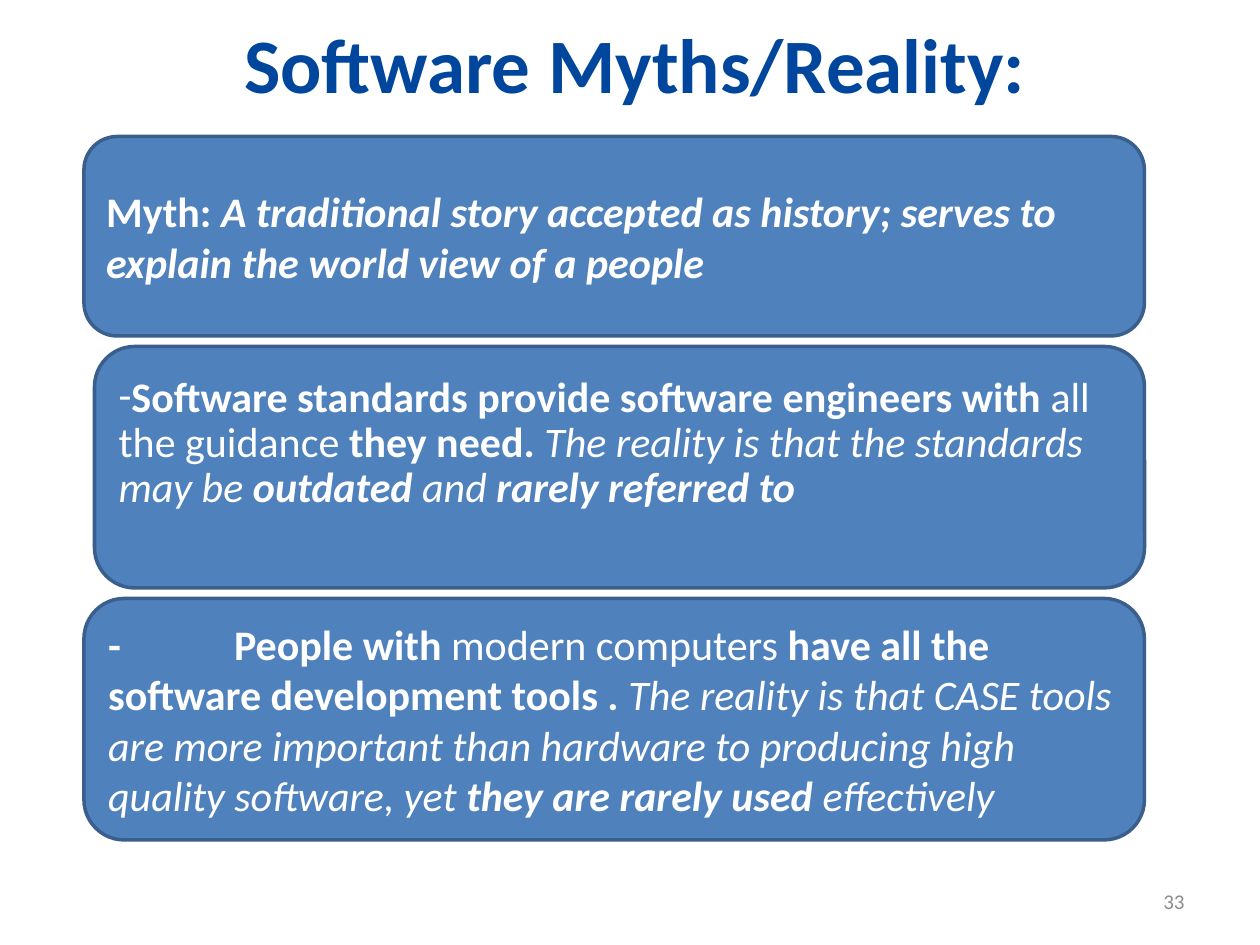
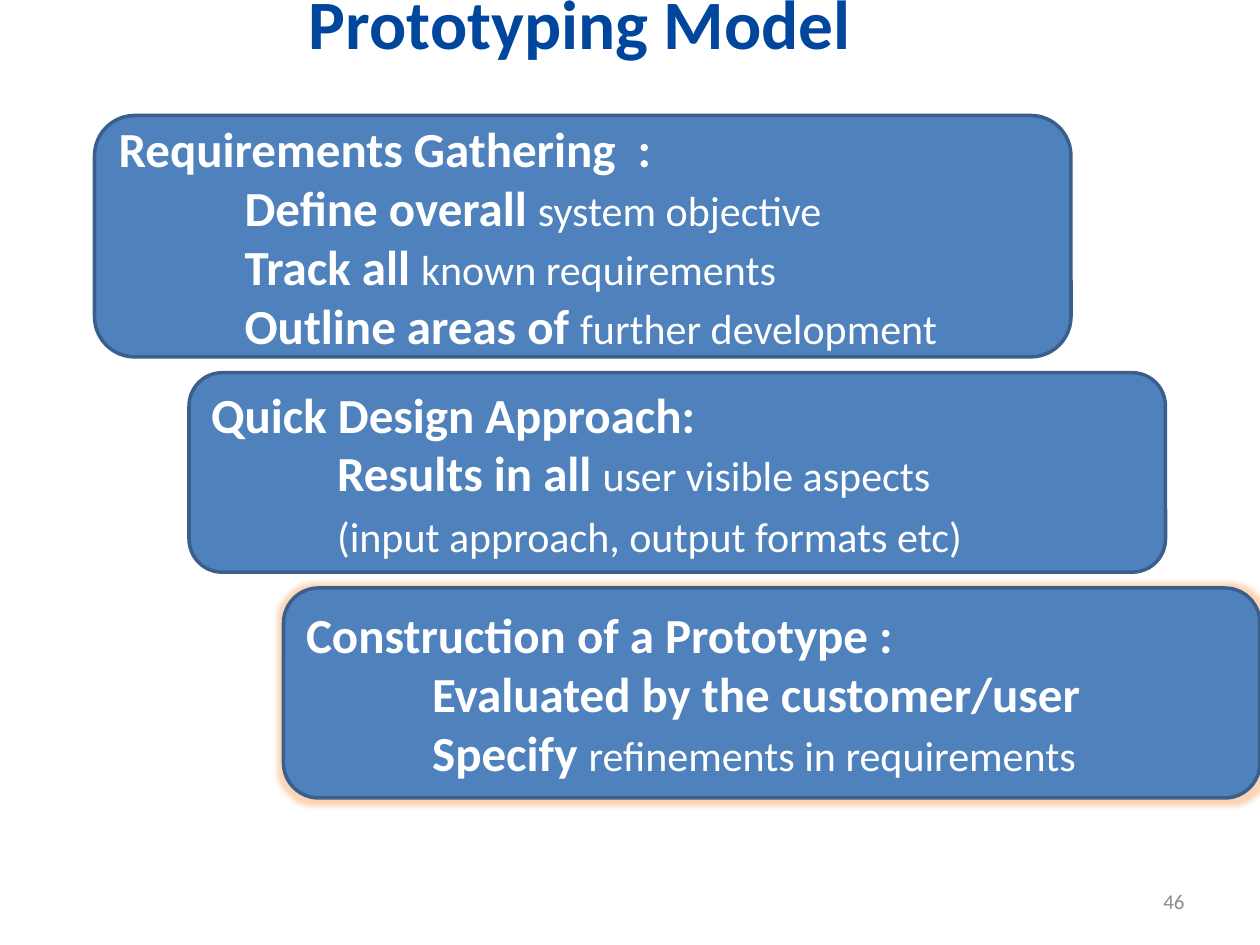
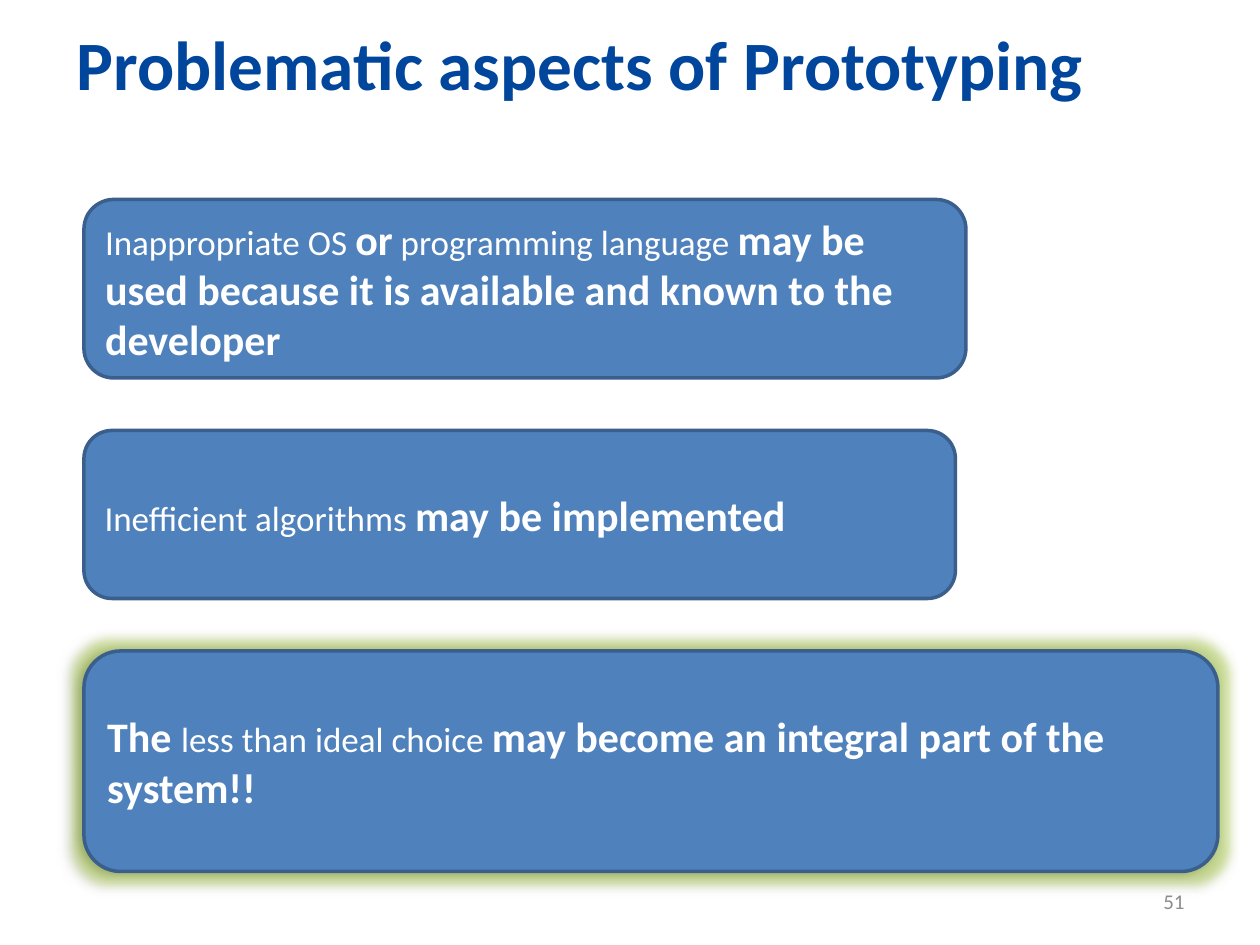
from lxml.etree import SubElement
from pptx import Presentation
from pptx.dml.color import RGBColor
from pptx.enum.shapes import MSO_SHAPE
from pptx.enum.text import MSO_ANCHOR, PP_ALIGN
from pptx.oxml.ns import qn
from pptx.util import Inches, Pt

FONT = "Calibri"
NAVY, BLUE, EDGE = "00469C", "4F81BD", "3A5F8C"
WHITE, GRAY = "FFFFFF", "8C8C8C"
ORANGE, GREEN = "F79646", "A5D028"

deck = Presentation()
deck.slide_width = Inches(10)
deck.slide_height = Inches(7.5)
COL = deck.slide_width / 120
ROW = deck.slide_height / 90


def paint(run, size, hue, bold=False, slant=False):
    font = run.font
    font.name = FONT
    font.size = Pt(size)
    font.bold = bold
    font.italic = slant
    font.color.rgb = RGBColor.from_string(hue)


def label(slide, grid, text, size, hue, bold, align):
    left, top, width, height = grid
    box = slide.shapes.add_textbox(
        round(left * COL), round(top * ROW), round(width * COL), round(height * ROW))
    frame = box.text_frame
    frame.word_wrap = True
    frame.vertical_anchor = MSO_ANCHOR.MIDDLE
    frame.text = text
    line = frame.paragraphs[0]
    line.alignment = align
    paint(line.runs[0], size, hue, bold)
    return frame


SLIDES = [
    {"title": "Software Myths/Reality:", "size": 44, "wide": 111, "lift": 0,
     "page": "33", "bold": 24, "plain": 24,
     "cards": [
         {"grid": (8, 13, 101, 19), "lines": [
             [("Myth: ", "b"),
              ("A traditional story accepted as history; serves to explain "
               "the world\u00a0view of a people", "bi")]]},
         {"grid": (9, 33, 100, 23), "dash": True, "lift": 0.37, "lines": [
             [("Software standards provide software engineers with ", "b"),
              ("all the guidance", ""),
              (" they need. ", "b"),
              ("The reality is that the standards may be ", "i"),
              ("outdated", "bi"),
              (" and ", "i"),
              ("rarely referred to", "bi")]]},
         {"grid": (8, 57, 101, 23), "lines": [
             [("-\tPeople with ", "b"),
              ("modern computers", ""),
              (" have all the software development tools . ", "b"),
              ("The reality is that CASE tools are more important than hardware "
               "to producing high quality software, yet ", "i"),
              ("they are rarely used ", "bi"),
              ("effectively", "i")]]}]},
    {"title": "Prototyping Model ", "size": 39.6, "wide": 102, "lift": 0.65,
     "page": "46", "bold": 28, "plain": 24,
     "cards": [
         {"grid": (9, 11, 93, 23), "lines": [
             [("Requirements Gathering  :", "b")],
             [("Define overall ", "b"), ("system objective", "")],
             [("Track all ", "b"), ("known requirements", "")],
             [("Outline areas of ", "b"), ("further development", "")]]},
         {"grid": (18, 35.5, 93, 19), "lines": [
             [("Quick Design Approach:", "b")],
             [("Results in all ", "b"), ("user visible aspects", "")],
             [("(input approach, output formats etc)", "")]]},
         {"grid": (27, 56, 93, 20), "glow": (ORANGE, 5), "lines": [
             [("Construction of a Prototype :", "b")],
             [("Evaluated by the customer/user", "b")],
             [("Specify ", "b"), ("refinements in requirements", "")]]}]},
    {"title": "Problematic aspects of Prototyping ", "size": 39.6, "wide": 102, "lift": 0,
     "page": "51", "bold": 24, "plain": 20,
     "cards": [
         {"grid": (8, 19, 84, 17), "lines": [
             [("Inappropriate OS ", ""),
              ("or", "b"),
              (" programming language ", ""),
              ("may be used because it is available and known to the developer", "b")]]},
         {"grid": (8, 41, 83, 16), "lines": [
             [("Inefficient algorithms ", ""), ("may be implemented", "b")]]},
         {"grid": (8, 62, 108, 21), "glow": (GREEN, 11), "shade": True, "lines": [
             [("The ", "b"),
              ("less than ideal choice ", ""),
              ("may become an integral part of the system!!", "b")]]}]},
]

for page in SLIDES:
    slide = deck.slides.add_slide(deck.slide_layouts[6])
    head = label(slide, (5, 0, page["wide"], 12), page["title"],
                 page["size"], NAVY, True, PP_ALIGN.CENTER)
    head.margin_bottom = Inches(0.05 + page["lift"])

    for card in page["cards"]:
        left, top, width, height = card["grid"]
        shape = slide.shapes.add_shape(
            MSO_SHAPE.ROUNDED_RECTANGLE,
            round(left * COL), round(top * ROW), round(width * COL), round(height * ROW))
        shape.shadow.inherit = False
        shape.fill.solid()
        shape.fill.fore_color.rgb = RGBColor.from_string(BLUE)
        shape.line.color.rgb = RGBColor.from_string(EDGE)
        shape.line.width = Pt(2)

        if "glow" in card:
            hue, size = card["glow"]
            fx = shape._element.spPr.find(qn("a:effectLst"))
            glow = SubElement(fx, qn("a:glow"), rad=str(Pt(size)))
            tint = SubElement(glow, qn("a:srgbClr"), val=hue)
            SubElement(tint, qn("a:alpha"), val="40000")
            if "shade" in card:
                shade = SubElement(fx, qn("a:outerShdw"), blurRad=str(Pt(4)),
                                   dist=str(Pt(3)), dir="10800000")
                tint = SubElement(shade, qn("a:srgbClr"), val="000000")
                SubElement(tint, qn("a:alpha"), val="40000")

        frame = shape.text_frame
        frame.word_wrap = True
        frame.vertical_anchor = MSO_ANCHOR.MIDDLE
        frame.margin_bottom = Inches(0.05 + card.get("lift", 0))
        for rank, parts in enumerate(card["lines"]):
            line = frame.add_paragraph() if rank else frame.paragraphs[0]
            line.alignment = PP_ALIGN.LEFT
            props = line._p.get_or_add_pPr()
            props.set("defTabSz", str(Inches(1)))
            if rank:
                props.set("marL", str(Inches(1)))
                if "b" not in parts[0][1]:
                    line.space_before = Pt(1.22 * (page["bold"] - page["plain"]))
            if "dash" in card:
                line.line_spacing = 0.9
                SubElement(props, qn("a:buFont"), typeface=FONT)
                SubElement(props, qn("a:buChar"), char="-")
            for text, style in parts:
                run = line.add_run()
                run.text = text
                bold = "b" in style
                paint(run, page["bold" if bold else "plain"], WHITE, bold, "i" in style)

    label(slide, (86, 83.4, 28, 4.8), page["page"], 12, GRAY, False, PP_ALIGN.RIGHT)

deck.save("out.pptx")
